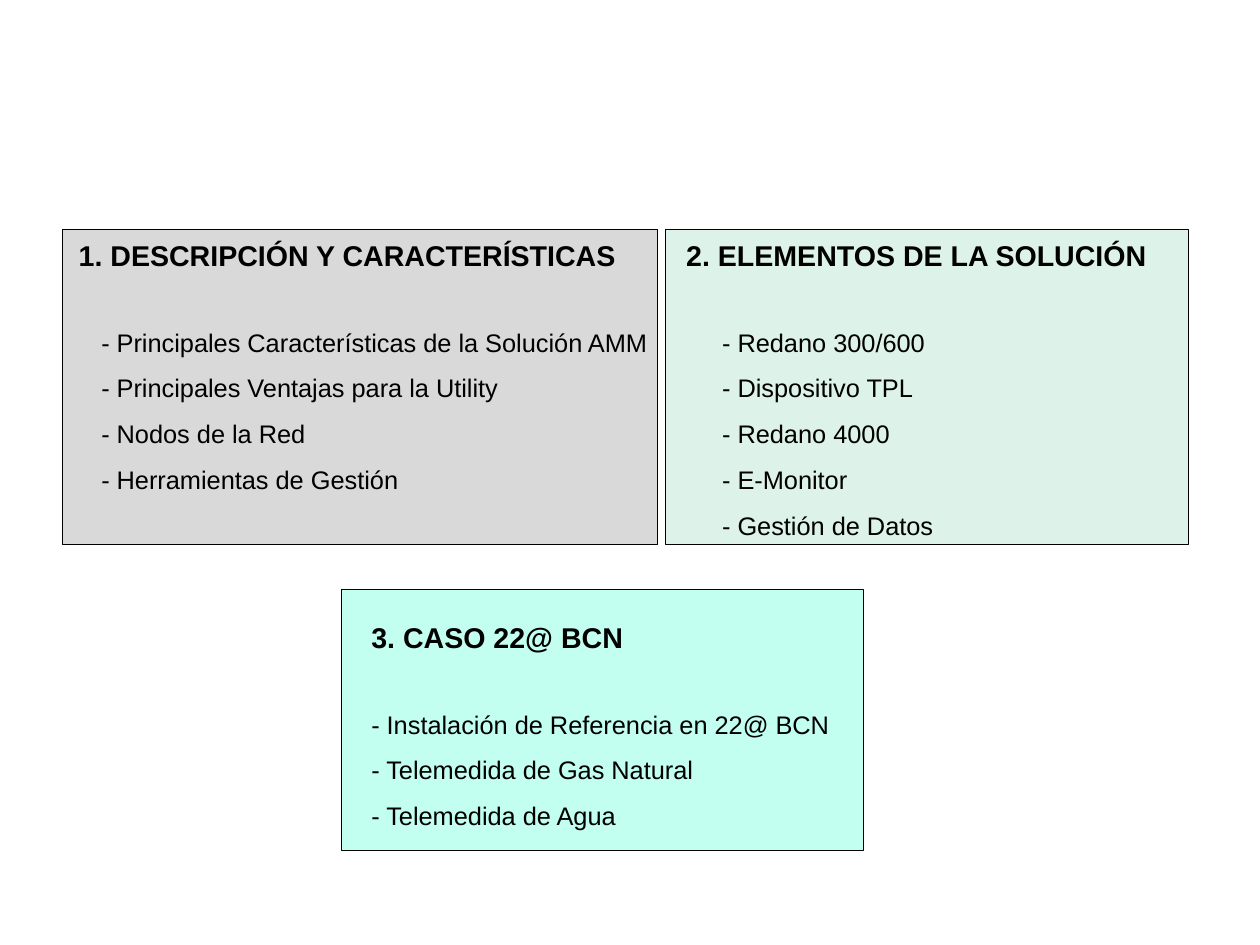
import pptx
import pptx.util
import pptx.dml.color
import pptx.enum.shapes
import pptx.enum.text
from dataclasses import dataclass

Pt = pptx.util.Pt


@dataclass(frozen=True)
class Theme:
    font: str = "Arial"
    ink: str = "000000"
    gray: str = "D9D9D9"
    green: str = "DDF3EA"
    aqua: str = "C2FFF0"
    heading_size: int = 18
    item_size: int = 16
    heading_spacing: float = 0.81
    item_spacing: float = 1.5
    outline: float = 0.75


THEME = Theme()


def color(code):
    return pptx.dml.color.RGBColor.from_string(code)


def add_panel(page, left, top, width, height, fill):
    panel = page.shapes.add_shape(
        pptx.enum.shapes.MSO_SHAPE.RECTANGLE, Pt(left), Pt(top), Pt(width), Pt(height))
    panel.shadow.inherit = False
    panel.fill.solid()
    panel.fill.fore_color.rgb = color(fill)
    panel.line.color.rgb = color(THEME.ink)
    panel.line.width = Pt(THEME.outline)


def add_text(page, text, *, left, top, width, height, size, spacing, bold=False):
    box = page.shapes.add_textbox(Pt(left), Pt(top), Pt(width), Pt(height))
    frame = box.text_frame
    frame.word_wrap = True
    frame.vertical_anchor = pptx.enum.text.MSO_ANCHOR.TOP
    frame.text = text
    for para in frame.paragraphs:
        para.line_spacing = spacing
        for span in para.runs:
            span.font.name = THEME.font
            span.font.size = Pt(size)
            span.font.bold = bold
            span.font.color.rgb = color(THEME.ink)


def add_heading(page, text, left, top, width):
    add_text(page, text, left=left, top=top, width=width, height=28,
             size=THEME.heading_size, spacing=THEME.heading_spacing, bold=True)


def add_items(page, items, left, top, width, height):
    add_text(page, "\n".join(f"- {item}" for item in items),
             left=left, top=top, width=width, height=height,
             size=THEME.item_size, spacing=THEME.item_spacing)


def main():
    deck = pptx.Presentation()
    deck.slide_width, deck.slide_height = Pt(793.7), Pt(595.28)
    page = deck.slides.add_slide(deck.slide_layouts[6])

    add_panel(page, 215.2, 371.4, 329, 164.2, THEME.aqua)
    add_panel(page, 419.5, 144.7, 329, 198.5, THEME.green)
    add_panel(page, 39.6, 144.7, 374.4, 198.5, THEME.gray)

    add_heading(page, "1. DESCRIPCIÓN Y CARACTERÍSTICAS", 42.5, 150.4, 360)
    add_heading(page, "2. ELEMENTOS DE LA SOLUCIÓN", 425.2, 150.4, 368.5)
    add_heading(page, "3. CASO 22@ BCN", 226.8, 390.8, 312)

    add_items(page, ["Principales Características de la Solución AMM",
                     "Principales Ventajas para la Utility",
                     "Nodos de la Red",
                     "Herramientas de Gestión"], 56.7, 192.8, 368.6, 113)
    add_items(page, ["Redano 300/600",
                     "Dispositivo TPL",
                     "Redano 4000",
                     "E-Monitor",
                     "Gestión de Datos"], 447.8, 192.8, 326, 133.2)
    add_items(page, ["Instalación de Referencia en 22@ BCN",
                     "Telemedida de Gas Natural",
                     "Telemedida de Agua"], 226.8, 433.4, 326, 113)

    deck.save("out.pptx")


if __name__ == "__main__":
    main()
